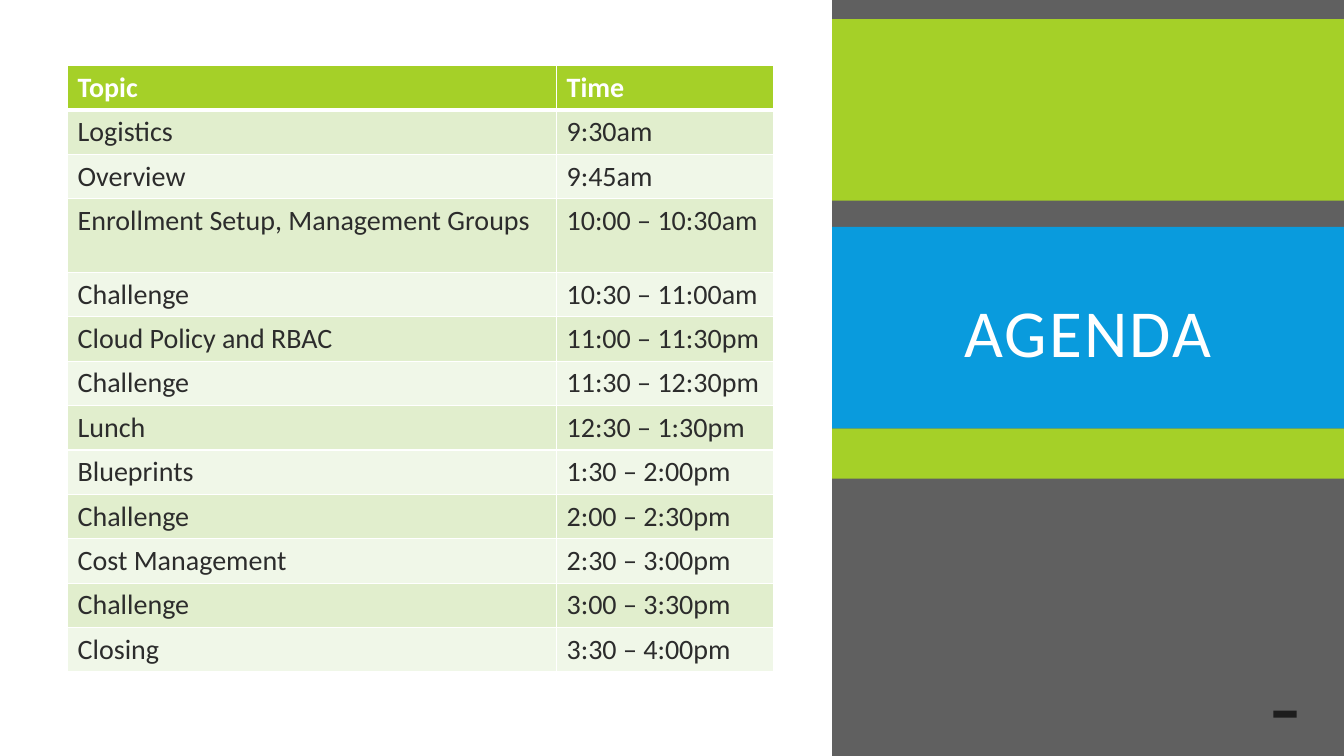
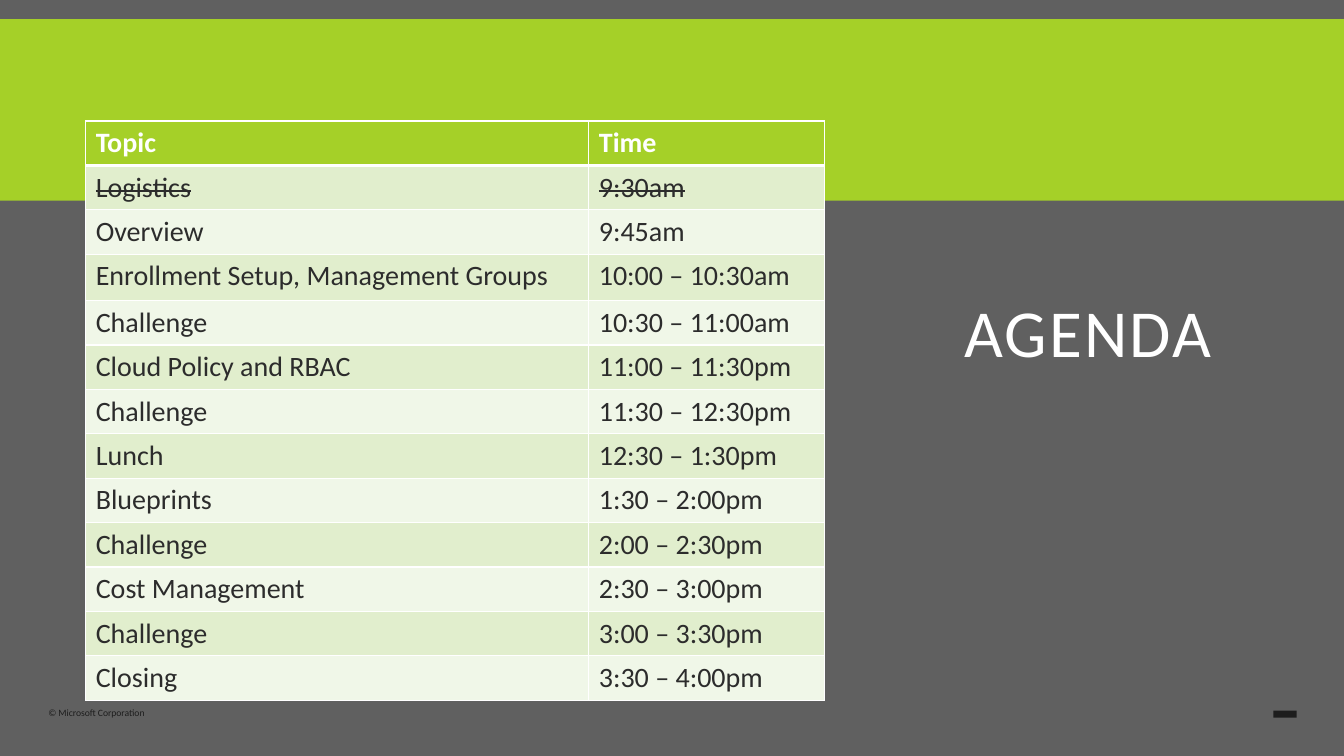
import pptx
import pptx.dml.color
import pptx.enum.shapes
import pptx.enum.text
import pptx.oxml
import pptx.oxml.ns
import pptx.util

Inches = pptx.util.Inches
Pt = pptx.util.Pt
FONT = "Calibri"
HUES = {
    "grey": "606060",
    "green": "A5D028",
    "blue": "099BDD",
    "white": "FFFFFF",
    "ink": "2C2C2C",
    "dark": "1D1D1D",
    "odd": "E1EECD",
    "even": "F0F7E8",
}
WIDE, HIGH = 13.33, 7.5
TALL = 3
AGENDA = [
    ("Topic", "Time"),
    ("Logistics", "9:30am"),
    ("Overview", "9:45am"),
    ("Enrollment Setup, Management Groups", "10:00 – 10:30am"),
    ("Challenge", "10:30 – 11:00am"),
    ("Cloud Policy and RBAC", "11:00 – 11:30pm"),
    ("Challenge", "11:30 – 12:30pm"),
    ("Lunch", "12:30 – 1:30pm"),
    ("Blueprints", "1:30 – 2:00pm"),
    ("Challenge", "2:00 – 2:30pm"),
    ("Cost Management", "2:30 – 3:00pm"),
    ("Challenge", "3:00 – 3:30pm"),
    ("Closing", "3:30 – 4:00pm"),
]


def color(name):
    """Return the named colour."""
    return pptx.dml.color.RGBColor.from_string(HUES[name])


def style(para, size, hue, bold=False):
    """Set the font of a paragraph and return it."""
    font = para.font
    font.name, font.size, font.bold = FONT, Pt(size), bold
    font.color.rgb = color(hue)
    return font


def block(slide, box, hue):
    """Draw a plain filled rectangle."""
    kind = pptx.enum.shapes.MSO_SHAPE.RECTANGLE
    shape = slide.shapes.add_shape(kind, *map(Inches, box))
    shape.shadow.inherit = False
    shape.fill.solid()
    shape.fill.fore_color.rgb = color(hue)
    shape.line.fill.background()


def title(slide, box, text):
    """Place the title in front of the bands."""
    shape = slide.shapes.title
    shape.left, shape.top, shape.width, shape.height = map(Inches, box)
    shape.element.getparent().append(shape.element)
    frame = shape.text_frame
    frame.text = text
    frame.word_wrap = True
    frame.auto_size = pptx.enum.text.MSO_AUTO_SIZE.NONE
    frame.vertical_anchor = pptx.enum.text.MSO_ANCHOR.MIDDLE
    para = frame.paragraphs[0]
    para.alignment = pptx.enum.text.PP_ALIGN.CENTER
    para.line_spacing = 0.8
    style(para, 48, "white")._element.set("spc", "150")


def footer(slide, box, text):
    """Place the small copyright line."""
    frame = slide.shapes.add_textbox(*map(Inches, box)).text_frame
    frame.margin_left = frame.margin_right = 0
    frame.margin_top = frame.margin_bottom = 0
    frame.word_wrap = False
    frame.text = text
    para = frame.paragraphs[0]
    para.line_spacing = 0.9
    style(para, 6.9, "dark")


def border(cell, row):
    """Rule a cell in white, with a thick line under the header."""
    props = cell._tc.get_or_add_tcPr()
    widths = {"L": 1, "R": 1, "T": 3 if row == 1 else 1, "B": 3 if row == 0 else 1}
    for side, width in widths.items():
        props.append(pptx.oxml.parse_xml(
            f'<a:ln{side} {pptx.oxml.ns.nsdecls("a")} w="{Pt(width)}">'
            f'<a:solidFill><a:srgbClr val="{HUES["white"]}"/></a:solidFill>'
            f'</a:ln{side}>'))


def agenda(slide, box, first, tall, done=()):
    """Fill the box with the timetable, striking out the rows that are done."""
    wide, high = box[2:]
    count = len(AGENDA)
    table = slide.shapes.add_table(count, 2, *map(Inches, box)).table
    for col, width in zip(table.columns, (first, wide - first)):
        col.width = Inches(width)
    for row, texts in enumerate(AGENDA):
        plain = (high - tall) / (count - 1)
        table.rows[row].height = Inches(tall if row == TALL else plain)
        head = row == 0
        fill = "green" if head else "odd" if row % 2 else "even"
        for col, text in enumerate(texts):
            cell = table.cell(row, col)
            border(cell, row)
            cell.fill.solid()
            cell.fill.fore_color.rgb = color(fill)
            cell.text = text
            para = cell.text_frame.paragraphs[0]
            font = style(para, 20, "white" if head else "ink", head)
            if row in done:
                font._element.set("strike", "sngStrike")


def start(deck):
    """Add a slide with the shared top band and corner mark."""
    slide = deck.slides.add_slide(deck.slide_layouts[5])
    block(slide, (0, 0.19, WIDE, 1.8), "green")
    block(slide, (12.63, 7.05, 0.23, 0.07), "dark")
    return slide


def heading(slide):
    """Add the shared agenda title."""
    title(slide, (8.6, 2.4, 4.38, 1.9), "AGENDA")


def panel(deck):
    """Build the agenda on a white side panel."""
    slide = start(deck)
    block(slide, (0, 4.25, WIDE, 0.5), "green")
    block(slide, (0, 2.25, WIDE, 2), "blue")
    heading(slide)
    block(slide, (0, 0, 8.25, HIGH), "white")
    agenda(slide, (0.67, 0.65, 7, 5.93), 4.85, 0.73)


def progress(deck):
    """Build the agenda with the first topic struck out."""
    slide = start(deck)
    footer(slide, (0.48, 7.03, 1.03, 0.1), "© Microsoft Corporation")
    heading(slide)
    agenda(slide, (0.85, 1.2, 7.33, 5.67), 4.99, 0.46, done=(1,))


def main():
    """Build and save the deck."""
    deck = pptx.Presentation()
    deck.slide_width, deck.slide_height = Inches(WIDE), Inches(HIGH)
    back = deck.slide_master.background.fill
    back.solid()
    back.fore_color.rgb = color("grey")
    panel(deck)
    progress(deck)
    deck.save("out.pptx")


if __name__ == "__main__":
    main()
